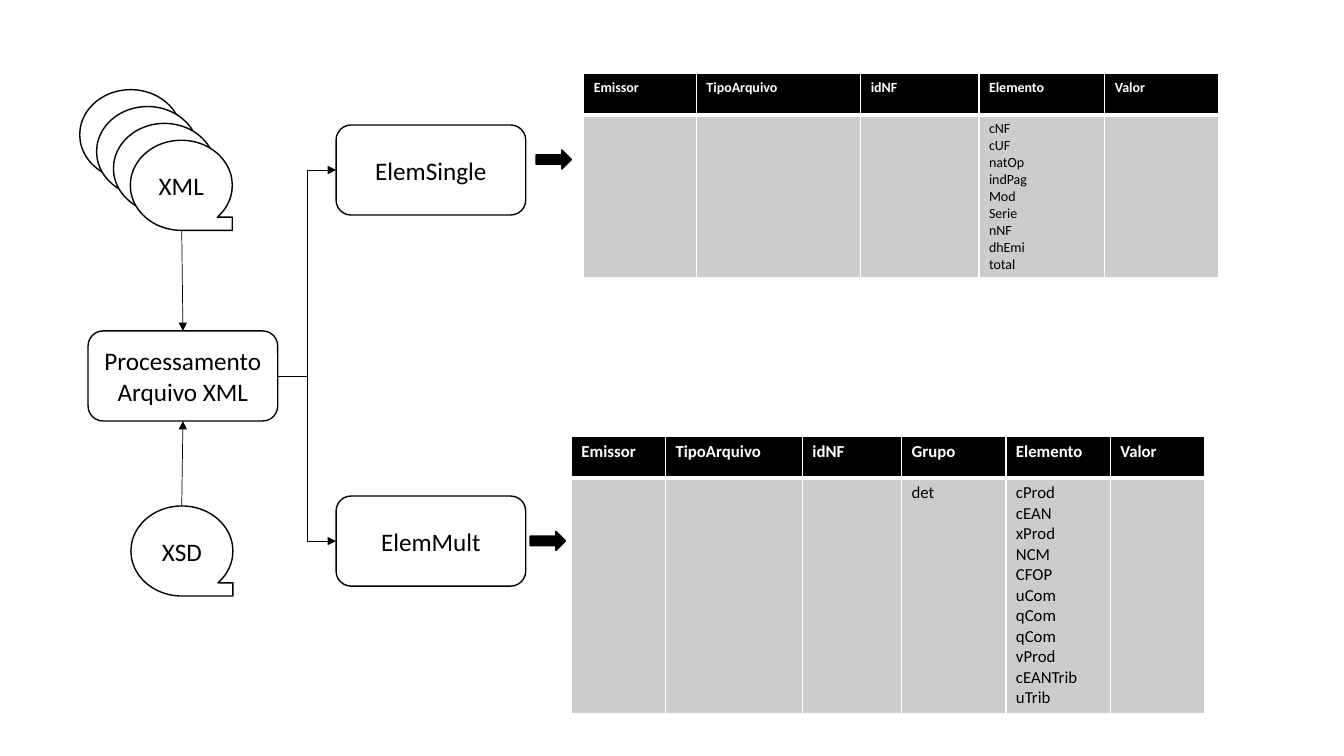
"""Build the slide that shows how XML files are processed into two tables."""
from lxml.etree import SubElement
from pptx import Presentation
from pptx.dml.color import RGBColor
from pptx.enum.shapes import MSO_CONNECTOR, MSO_SHAPE
from pptx.enum.text import MSO_ANCHOR, PP_ALIGN
from pptx.oxml.ns import qn
from pptx.util import Cm, Pt

COLORS = {"ink": "000000", "paper": "FFFFFF", "body": "CCCCCC"}
SHAPE_FONT = {"name": "Calibri", "size": Pt(18), "bold": False}


def write_lines(text_frame, lines, font_values, color, alignment):
    text_frame.text = "\n".join(lines)
    for paragraph in text_frame.paragraphs:
        paragraph.alignment = alignment
        for name, value in font_values.items():
            setattr(paragraph.font, name, value)
        paragraph.font.color.rgb = RGBColor.from_string(COLORS[color])


def add_shape(kind, left, top, width, height, lines=(), fill=None):
    shape = slide.shapes.add_shape(kind, Cm(left), Cm(top), Cm(width), Cm(height))
    shape.shadow.inherit = False
    shape.line.color.rgb = RGBColor.from_string(COLORS["ink"])
    shape.line.width = Pt(1)
    if fill:
        shape.fill.solid()
        shape.fill.fore_color.rgb = RGBColor.from_string(COLORS[fill])
    else:
        shape.fill.background()
    if lines:
        shape.text_frame.word_wrap = True
        shape.text_frame.vertical_anchor = MSO_ANCHOR.MIDDLE
        write_lines(shape.text_frame, lines, SHAPE_FONT, "ink", PP_ALIGN.CENTER)
    return shape


presentation = Presentation()
presentation.slide_width, presentation.slide_height = Cm(33.87), Cm(19.05)
slide = presentation.slides.add_slide(presentation.slide_layouts[6])

process, single, multiple = [
    add_shape(MSO_SHAPE.ROUNDED_RECTANGLE, left, top, 4.78, 2.27, lines)
    for left, top, lines in [
        (2.22, 8.34, ["Processamento", "Arquivo XML"]),
        (8.47, 3.15, ["ElemSingle"]),
        (8.47, 12.5, ["ElemMult"]),
    ]
]

single_fields = ["cNF", "cUF", "natOp", "indPag", "Mod", "Serie", "nNF", "dhEmi", "total"]
multiple_fields = ["cProd", "cEAN", "xProd", "NCM", "CFOP", "uCom", "qCom", "qCom",
                   "vProd", "cEANTrib", "uTrib"]
tables = [
    (14.71, 1.86, 4.06, 10, [
        ("Emissor", 2.84, []), ("TipoArquivo", 4.14, []), ("idNF", 2.98, []),
        ("Elemento", 3.17, single_fields), ("Valor", 2.88, [])]),
    (14.4, 11, 5.84, 12, [
        ("Emissor", 2.37, []), ("TipoArquivo", 3.45, []), ("idNF", 2.5, []),
        ("Grupo", 2.63, ["det"]), ("Elemento", 2.63, multiple_fields), ("Valor", 2.38, [])]),
]
header_height = 1.04
for left, top, body_height, size, columns in tables:
    table = slide.shapes.add_table(
        2, len(columns), Cm(left), Cm(top),
        Cm(sum(width for _, width, _ in columns)), Cm(header_height + body_height)).table
    table.rows[0].height, table.rows[1].height = Cm(header_height), Cm(body_height)
    for index, (heading, width, fields) in enumerate(columns):
        table.columns[index].width = Cm(width)
        for row, lines, color, fill, thick_side in [
            (0, [heading], "paper", "ink", "lnB"),
            (1, fields, "ink", "body", "lnT"),
        ]:
            cell = table.cell(row, index)
            font_values = {"name": "Calibri", "size": Pt(size), "bold": row == 0}
            write_lines(cell.text_frame, lines, font_values, color, PP_ALIGN.LEFT)
            properties = cell._tc.get_or_add_tcPr()
            for side in ("lnL", "lnR", "lnT", "lnB"):
                thickness = Pt(3 if side == thick_side else 1)
                border = SubElement(properties, qn(f"a:{side}"), w=str(thickness))
                border_fill = SubElement(border, qn("a:solidFill"))
                SubElement(border_fill, qn("a:srgbClr"), val=COLORS["paper"])
            cell.fill.solid()
            cell.fill.fore_color.rgb = RGBColor.from_string(COLORS[fill])

for left, top in [(13.51, 3.78), (13.36, 13.39)]:
    add_shape(MSO_SHAPE.RIGHT_ARROW, left, top, 0.89, 0.48, fill="ink")

tape_width, tape_height = 2.57, 2.27
add_shape(MSO_SHAPE.FLOWCHART_SEQUENTIAL_ACCESS_STORAGE, 3.3, 12.75,
          tape_width, tape_height, ["XSD"])
for step in range(4):
    offset = 0.425 * step
    add_shape(MSO_SHAPE.FLOWCHART_SEQUENTIAL_ACCESS_STORAGE, 2.01 + offset, 2.26 + offset,
              tape_width, tape_height, ["XML"], "paper")

process_right, branch_left, process_middle = 7, 8.47, 9.47
for kind, start, end, target, site in [
    (MSO_CONNECTOR.ELBOW, (process_right, process_middle), (branch_left, 4.28), single, 1),
    (MSO_CONNECTOR.ELBOW, (process_right, process_middle), (branch_left, 13.63), multiple, 1),
    (MSO_CONNECTOR.STRAIGHT, (4.58, 12.75), (4.61, 10.61), process, 2),
    (MSO_CONNECTOR.STRAIGHT, (4.58, 5.82), (4.61, 8.34), process, 0),
]:
    connector = slide.shapes.add_connector(kind, *map(Cm, start + end))
    if kind == MSO_CONNECTOR.ELBOW:
        connector.begin_connect(process, 3)
    connector.end_connect(target, site)
    connector.line.color.rgb = RGBColor.from_string(COLORS["ink"])
    connector.line.width = Pt(0.5)
    SubElement(connector.line._get_or_add_ln(), qn("a:tailEnd"), type="triangle")
    SubElement(connector._element.spPr, qn("a:effectLst"))

presentation.save("out.pptx")
